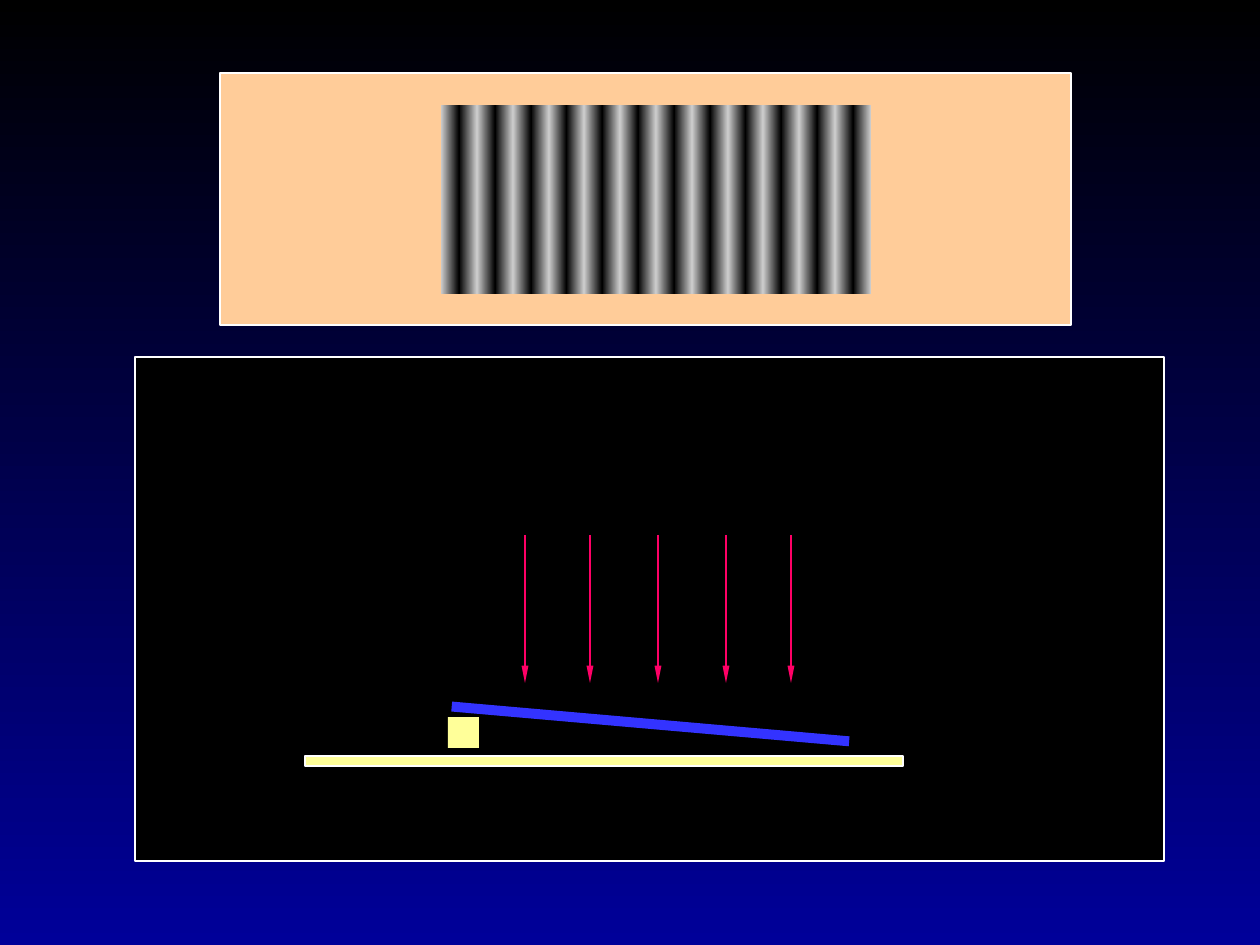
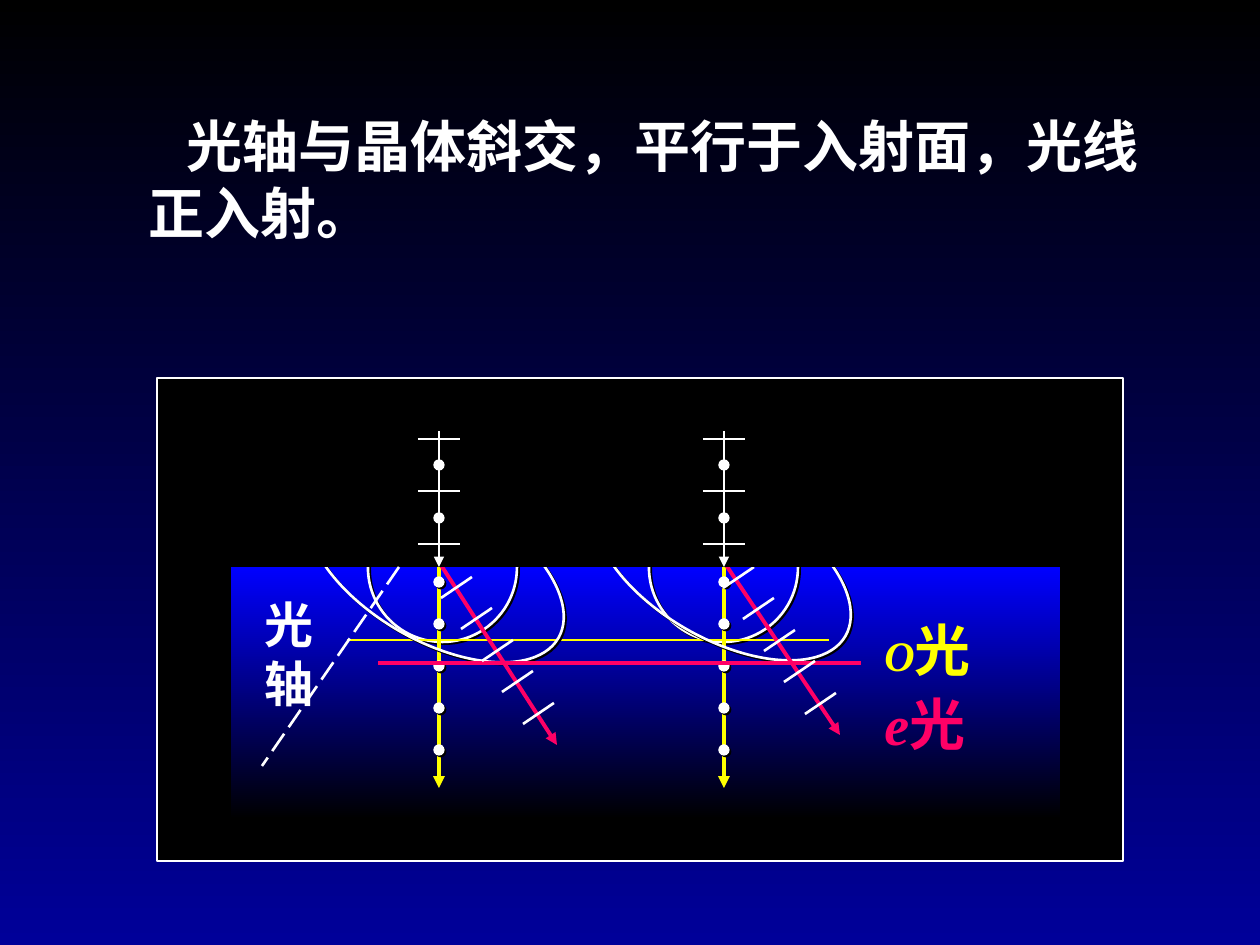
from copy import deepcopy
from dataclasses import dataclass

from lxml.etree import SubElement
from pptx import Presentation
from pptx.dml.color import RGBColor
from pptx.enum.dml import MSO_LINE
from pptx.enum.shapes import MSO_CONNECTOR, MSO_SHAPE
from pptx.enum.text import MSO_ANCHOR, MSO_AUTO_SIZE, PP_ALIGN
from pptx.oxml.ns import qn
from pptx.util import Pt

PX = 914400 / 126


@dataclass(frozen=True)
class Theme:
    black: str = "000000"
    white: str = "FFFFFF"
    navy: str = "000099"
    blue: str = "0000FF"
    plate: str = "3333FF"
    cream: str = "FFFF99"
    peach: str = "FFCC99"
    silver: str = "CECECE"
    pink: str = "FF0066"
    yellow: str = "FFFF00"
    sans: str = "Noto Sans CJK SC"
    serif: str = "Times New Roman"
    heading_size: int = 32
    axis_size: int = 28
    symbol_size: int = 24
    frame: float = 0.75
    thin: float = 1.5
    thick: float = 2.25


theme = Theme()


def draw(slide, kind, box, fill=None, outline=None, width=theme.frame, shadow=False):
    shape = slide.shapes.add_shape(kind, *[round(v * PX) for v in box])
    shape.shadow.inherit = False
    if fill:
        shape.fill.solid()
        shape.fill.fore_color.rgb = RGBColor.from_string(fill)
    else:
        shape.fill.background()
    if outline:
        shape.line.color.rgb = RGBColor.from_string(outline)
        shape.line.width = Pt(width)
    else:
        shape.line.fill.background()
    if shadow:
        effects = shape._element.spPr.find(qn("a:effectLst"))
        cast = SubElement(effects, qn("a:outerShdw"), dist="18000", dir="2700000", algn="ctr")
        SubElement(cast, qn("a:srgbClr"), val=theme.black)
    return shape


def stroke(slide, ends, color, width=theme.thin, arrow=None):
    line = slide.shapes.add_connector(MSO_CONNECTOR.STRAIGHT, *[round(v * PX) for v in ends])
    line.line.color.rgb = RGBColor.from_string(color)
    line.line.width = Pt(width)
    if arrow:
        SubElement(line.line._get_or_add_ln(), qn("a:tailEnd"), type="triangle", w=arrow[0], len=arrow[1])
    SubElement(line._element.spPr, qn("a:effectLst"))
    return line


RECT, OVAL = MSO_SHAPE.RECTANGLE, MSO_SHAPE.OVAL
MEDIUM, SLENDER = ("med", "med"), ("sm", "lg")

prs = Presentation()
prs.slide_width, prs.slide_height = round(1260 * PX), round(945 * PX)
gradients = [(prs.slide_master.background.fill, (theme.black, theme.navy), 270)]

wedge = prs.slides.add_slide(prs.slide_layouts[6])
draw(wedge, RECT, (135, 357, 1029, 504), theme.black, theme.white)
draw(wedge, RECT, (305, 756, 598, 10), theme.cream, theme.white)
draw(wedge, RECT, (448, 717, 31, 31), theme.cream)
tilted_plate = draw(wedge, RECT, (451, 719, 399, 10), theme.plate)
tilted_plate.rotation = 5
for x in (525, 590, 658, 726, 791):
    stroke(wedge, (x, 535, x, 683), theme.pink, arrow=SLENDER)

draw(wedge, RECT, (220, 73, 851, 252), theme.peach, theme.white)
fringe_edges = [441 + round(i * 430 / 12) for i in range(13)]
for left, right in zip(fringe_edges, fringe_edges[1:]):
    fringe = draw(wedge, RECT, (left, 105, right - left, 189), theme.black)
    gradients.append((fringe.fill, (theme.silver, theme.black, theme.silver), 180))

crystal_slide = prs.slides.add_slide(prs.slide_layouts[5])
draw(crystal_slide, RECT, (157, 378, 966, 483), theme.black, theme.white)
crystal = draw(crystal_slide, RECT, (231, 567, 829, 252), theme.black)
gradients.append((crystal.fill, (theme.blue, theme.black), 270))

ray_xs = (439, 724)
for x in (368, 649):
    draw(crystal_slide, OVAL, (x, 493, 149, 149), None, theme.white, theme.thin, True)
stroke(crystal_slide, (347, 640, 829, 640), theme.yellow)
for x in ray_xs:
    stroke(crystal_slide, (x, 567, x, 788), theme.yellow, theme.thick, MEDIUM)
    for i in range(5):
        draw(crystal_slide, OVAL, (x - 5, 577 + 42 * i, 10, 10), theme.white, theme.white, shadow=True)

for x, y in ((362, 425), (649, 423)):
    e_wavelet = draw(crystal_slide, OVAL, (x, y, 147, 284), None, theme.white, theme.thin, True)
    e_wavelet.rotation = 300
for e_ray in ((439, 562, 557, 745), (724, 562, 840, 735)):
    stroke(crystal_slide, e_ray, theme.pink, theme.thick, MEDIUM)
stroke(crystal_slide, (378, 663, 861, 663), theme.pink, theme.thick)
for x, y in ((441, 598), (723, 588)):
    for i in range(5):
        left, bottom = x + 41 * i // 2, y + 63 * i // 2
        stroke(crystal_slide, (left, bottom, left + 31, bottom - 21), theme.white)

draw(crystal_slide, RECT, (231, 388, 829, 179), theme.black)
for x in ray_xs:
    stroke(crystal_slide, (x, 431, x, 567), theme.white, arrow=MEDIUM)
    for y in (439, 491, 544):
        stroke(crystal_slide, (x - 21, y, x + 21, y), theme.white)
    for y in (460, 513):
        draw(crystal_slide, OVAL, (x - 5, y, 10, 10), theme.white, theme.white)
optic_axis = stroke(crystal_slide, (399, 567, 262, 766), theme.white)
optic_axis.line.dash_style = MSO_LINE.LONG_DASH

heading = crystal_slide.shapes.title
o_label, e_label, axis_label = [crystal_slide.shapes.add_textbox(0, 0, 0, 0) for _ in range(3)]
captions = [
    (heading, (136, 105, 1030, 147), theme.white, theme.sans,
     [("光轴与晶体斜交，平行于入射面，光线正入射。", theme.heading_size, False)]),
    (o_label, (872, 609, 157, 81), theme.yellow, theme.serif,
     [("O", theme.symbol_size, True), ("光", theme.heading_size, False)]),
    (e_label, (872, 683, 157, 81), theme.pink, theme.serif,
     [("e", theme.heading_size, True), ("光", theme.heading_size, False)]),
    (axis_label, (252, 588, 63, 131), theme.white, theme.serif,
     [("光轴", theme.axis_size, False)]),
]
frame_format = {"word_wrap": True, "auto_size": MSO_AUTO_SIZE.NONE, "vertical_anchor": MSO_ANCHOR.TOP}
for caption, box, color, typeface, runs in captions:
    for side, value in zip(("left", "top", "width", "height"), box):
        setattr(caption, side, round(value * PX))
    for key, value in frame_format.items():
        setattr(caption.text_frame, key, value)
    paragraph = caption.text_frame.paragraphs[0]
    paragraph.alignment = PP_ALIGN.LEFT
    for words, size, italic in runs:
        run = paragraph.add_run()
        run.text = words
        run_format = {"size": Pt(size), "bold": True, "italic": italic, "name": typeface}
        for key, value in run_format.items():
            setattr(run.font, key, value)
        run.font.color.rgb = RGBColor.from_string(color)
        SubElement(run._r.get_or_add_rPr(), qn("a:ea"), typeface=theme.sans)
heading.text_frame.paragraphs[0]._p.get_or_add_pPr().set("indent", str(round(38 * PX)))

for fill, colors, angle in gradients:
    fill.gradient()
    fill.gradient_angle = angle
    first_stop = fill.gradient_stops[0]._gs
    for _ in colors[2:]:
        first_stop.addnext(deepcopy(first_stop))
    for i, (stop, color) in enumerate(zip(fill.gradient_stops, colors)):
        stop.color.rgb = RGBColor.from_string(color)
        stop.position = i / (len(colors) - 1)

prs.save("out.pptx")
